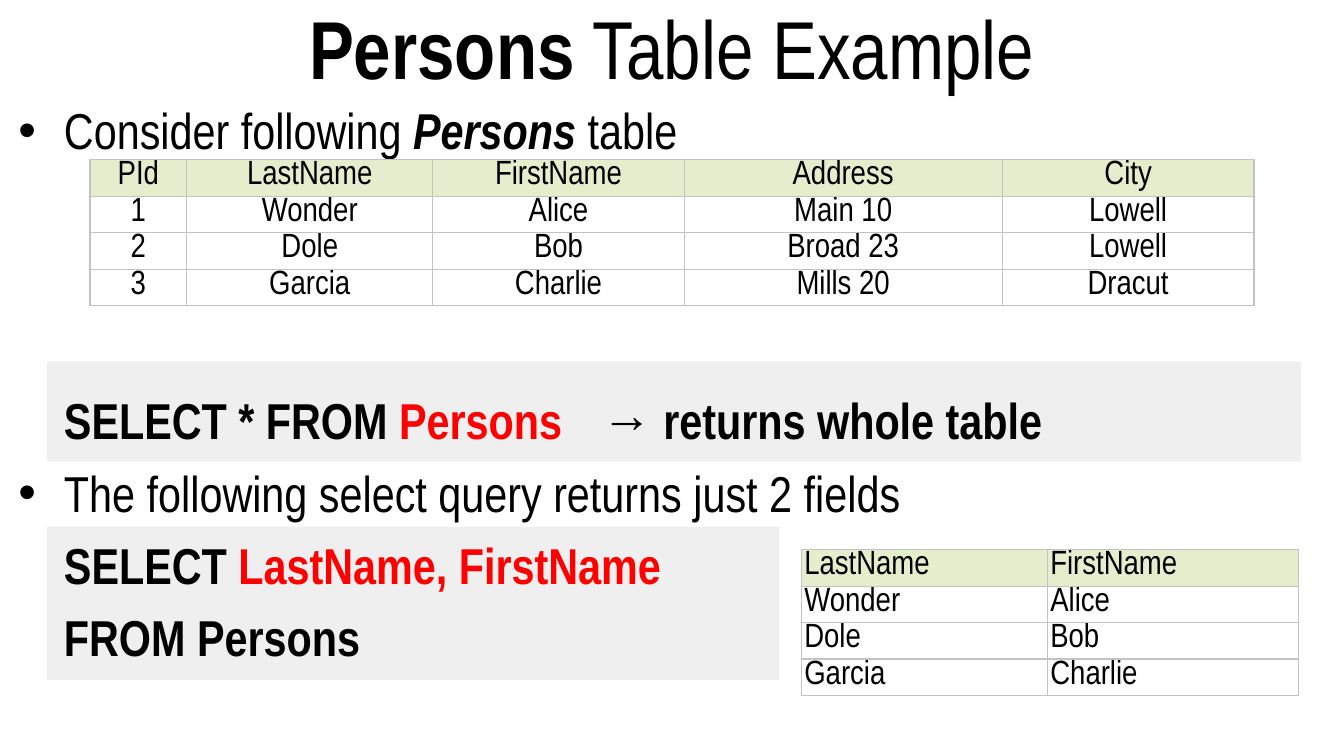
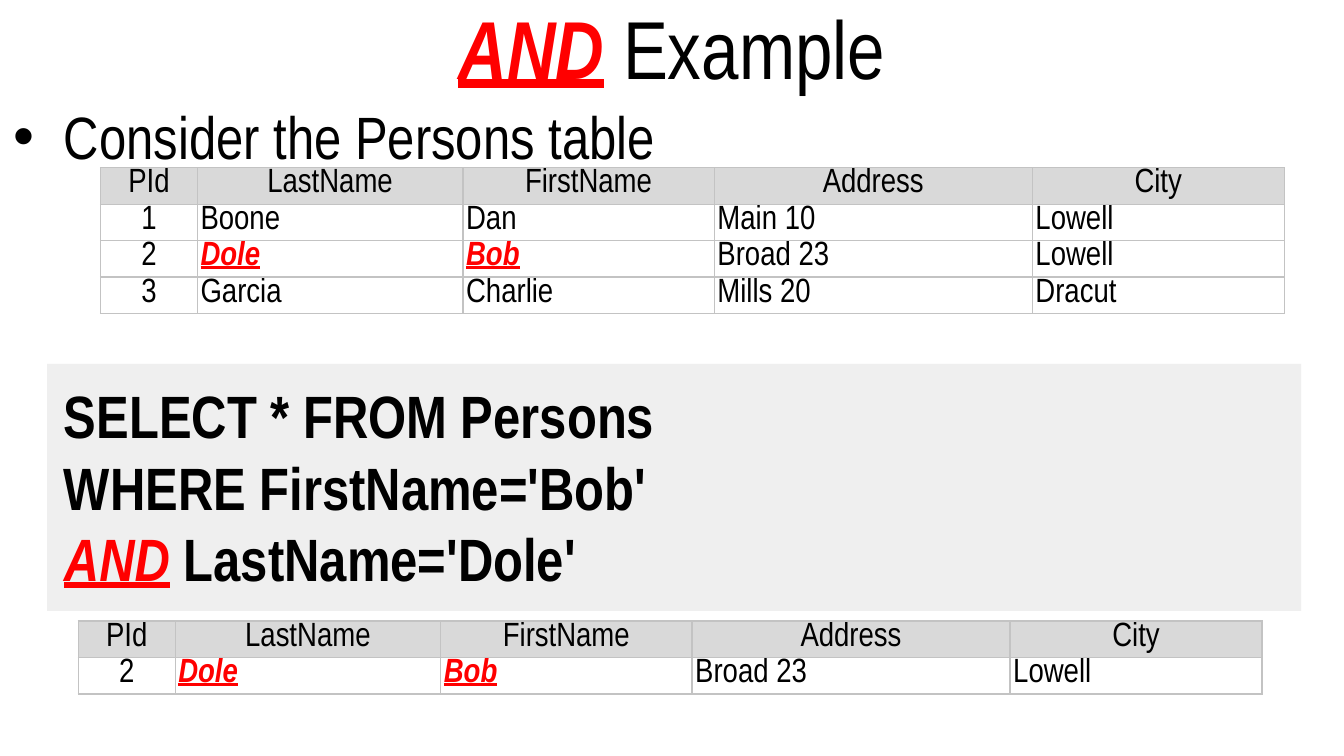
from lxml import etree
from pptx import Presentation
from pptx.dml.color import RGBColor
from pptx.enum.shapes import MSO_SHAPE
from pptx.enum.text import MSO_ANCHOR, MSO_AUTO_SIZE, PP_ALIGN
from pptx.oxml.ns import qn
from pptx.util import Cm, Pt

RECTANGLE = MSO_SHAPE.RECTANGLE
MIDDLE, TOP = MSO_ANCHOR.MIDDLE, MSO_ANCHOR.TOP
CENTER, LEFT = PP_ALIGN.CENTER, PP_ALIGN.LEFT
NO_AUTOFIT = MSO_AUTO_SIZE.NONE

BLACK = RGBColor(0x00, 0x00, 0x00)
RED = RGBColor(0xFF, 0x00, 0x00)
WHITE = RGBColor(0xFF, 0xFF, 0xFF)
CODE_BAND = RGBColor(0xEF, 0xEF, 0xEF)
GREEN_HEADER = RGBColor(0xE5, 0xEE, 0xCC)
GREY_HEADER = RGBColor(0xD9, 0xD9, 0xD9)
BORDER = RGBColor(0xC3, 0xC3, 0xC3)

FONT = "Arial Narrow"
TITLE_SIZE, CELL_SIZE = 44, 18
PARAGRAPH_GAP = 6.4

# Run formats
PLAIN = {"bold": False}
BOLD = {"bold": True}
BOLD_ITALIC = {"bold": True, "italic": True}
BOLD_RED = {"bold": True, "color": RED}
HIGHLIGHT = {"bold": True, "italic": True, "underline": True, "color": RED}

# Boxes: left, top, width, height in cm
SLIDE_WIDTH, SLIDE_HEIGHT, TITLE_HEIGHT = 25.4, 14.29, 1.75
TITLE_BOX = (0, 0, SLIDE_WIDTH, TITLE_HEIGHT)
BODY_BOX = (0, TITLE_HEIGHT, SLIDE_WIDTH, SLIDE_HEIGHT - TITLE_HEIGHT)
BAND_LEFT, BAND_WIDTH = 0.89, 23.7
TEXT_INDENT = 0.96

# Table cells
ROW_HEIGHT, CELL_LINE_SPACING = 0.69, 0.87
CELL_MARGINS = {"margin_left": 0.06, "margin_right": 0.06,
                "margin_top": 0.06, "margin_bottom": 0}

HEADER = ["PId", "LastName", "FirstName", "Address", "City"]


def add_runs(paragraph, runs, size):
    for text, style in runs:
        for number, line in enumerate(text.split("\n")):
            if number:
                paragraph.add_line_break()
            if not line:
                continue
            run = paragraph.add_run()
            run.text = line
            font = run.font
            font.name, font.size = FONT, Pt(size)
            font.color.rgb = style.get("color", BLACK)
            for attribute, value in style.items():
                if attribute != "color":
                    setattr(font, attribute, value)


def format_frame(frame, anchor):
    settings = {
        "word_wrap": True, "auto_size": NO_AUTOFIT, "vertical_anchor": anchor,
        "margin_left": Cm(0.25), "margin_right": Cm(0.25),
        "margin_top": Cm(0.13), "margin_bottom": Cm(0.13),
    }
    for attribute, value in settings.items():
        setattr(frame, attribute, value)


def place_title(slide, box, runs):
    title = slide.shapes.title
    title.left, title.top, title.width, title.height = map(Cm, box)
    format_frame(title.text_frame, MIDDLE)
    paragraph = title.text_frame.paragraphs[0]
    paragraph.alignment = CENTER
    add_runs(paragraph, runs, TITLE_SIZE)


def place_code_band(slide, box):
    band = slide.shapes.add_shape(RECTANGLE, *map(Cm, box))
    band.shadow.inherit = False
    band.fill.solid()
    band.fill.fore_color.rgb = CODE_BAND
    band.line.fill.background()


def set_indent(paragraph, hanging):
    """Indent a paragraph; a hanging length also gives it a bullet."""
    properties = paragraph._p.get_or_add_pPr()
    properties.set("marL", str(Cm(TEXT_INDENT)))
    properties.set("indent", str(-Cm(hanging)))
    if hanging:
        color = etree.SubElement(properties, qn("a:buClr"))
        etree.SubElement(color, qn("a:srgbClr"), val=str(BLACK))
        etree.SubElement(properties, qn("a:buFont"), typeface="Arial")
        etree.SubElement(properties, qn("a:buChar"), char="•")
    else:
        etree.SubElement(properties, qn("a:buNone"))


def place_body(slide, box, size, paragraphs):
    """Each paragraph is (hanging indent, space before, runs)."""
    frame = slide.shapes.add_textbox(*map(Cm, box)).text_frame
    format_frame(frame, TOP)
    for number, (hanging, gap, runs) in enumerate(paragraphs):
        paragraph = frame.add_paragraph() if number else frame.paragraphs[0]
        set_indent(paragraph, hanging)
        if number:
            paragraph.space_before = Pt(gap)
        add_runs(paragraph, runs, size)


def set_borders(cell):
    properties = cell._tc.get_or_add_tcPr()
    for number, side in enumerate(("a:lnL", "a:lnR", "a:lnT", "a:lnB")):
        line = etree.Element(qn(side), w=str(Pt(0.75)))
        fill = etree.SubElement(line, qn("a:solidFill"))
        etree.SubElement(fill, qn("a:srgbClr"), val=str(BORDER))
        properties.insert(number, line)


def place_table(slide, left, top, widths, rows, header_fill, centered, highlights=()):
    """centered(row, column) tells which cells are centred."""
    table = slide.shapes.add_table(
        len(rows), len(widths), Cm(left), Cm(top),
        Cm(sum(widths)), Cm(ROW_HEIGHT * len(rows))).table
    table.first_row = table.horz_banding = False
    for column, width in zip(table.columns, widths):
        column.width = Cm(width)
    for r, values in enumerate(rows):
        table.rows[r].height = Cm(ROW_HEIGHT)
        for c, value in enumerate(values):
            cell = table.cell(r, c)
            for attribute, margin in CELL_MARGINS.items():
                setattr(cell, attribute, Cm(margin))
            cell.fill.solid()
            cell.fill.fore_color.rgb = WHITE if r else header_fill
            set_borders(cell)
            paragraph = cell.text_frame.paragraphs[0]
            paragraph.alignment = CENTER if centered(r, c) else LEFT
            paragraph.line_spacing = CELL_LINE_SPACING
            style = HIGHLIGHT if value in highlights else PLAIN
            add_runs(paragraph, [(value, style)], CELL_SIZE)


def new_slide(deck, title_runs):
    slide = deck.slides.add_slide(deck.slide_layouts[5])
    place_title(slide, TITLE_BOX, title_runs)
    return slide


def build_persons_slide(deck):
    slide = new_slide(deck, [("Persons", BOLD), (" Table Example", PLAIN)])

    # Bands behind the queries
    place_code_band(slide, (BAND_LEFT, 9.96, 13.84, 2.9))
    place_code_band(slide, (BAND_LEFT, 6.83, BAND_WIDTH, 1.9))

    # Bullets and queries
    place_body(slide, BODY_BOX, 27, [
        (0.86, 0, [("Consider following ", PLAIN), ("Persons", BOLD_ITALIC),
                   (" table", PLAIN)]),
        (0, 122.8, [("SELECT * FROM ", BOLD), ("Persons", BOLD_RED),
                    ("\t→ returns whole table", BOLD)]),
        (0.86, PARAGRAPH_GAP,
         [("The following select query returns just 2 fields", PLAIN)]),
        (0, PARAGRAPH_GAP, [("SELECT ", BOLD), ("LastName, FirstName", BOLD_RED)]),
        (0, PARAGRAPH_GAP, [("FROM Persons", BOLD)]),
    ])

    # Whole table, and the two selected fields
    persons = [
        HEADER,
        ["1", "Wonder", "Alice", "Main 10", "Lowell"],
        ["2", "Dole", "Bob", "Broad 23", "Lowell"],
        ["3", "Garcia", "Charlie", "Mills 20", "Dracut"],
    ]
    widths = [1.83, 4.65, 4.75, 6.01, 4.76]
    place_table(slide, 1.7, 3.02, widths, persons, GREEN_HEADER, lambda r, c: True)
    place_table(slide, 15.14, 10.39, widths[1:3], [row[1:3] for row in persons],
                GREEN_HEADER, lambda r, c: False)


def build_and_slide(deck):
    slide = new_slide(deck, [("AND", HIGHLIGHT), (" Example", PLAIN)])
    place_code_band(slide, (BAND_LEFT, 6.88, BAND_WIDTH, 4.67))

    # Bullet and query
    place_body(slide, BODY_BOX, 32, [
        (TEXT_INDENT, 0, [("Consider the Persons table", PLAIN)]),
        (0, 111.2, [("SELECT * FROM Persons\nWHERE FirstName='Bob'\n", BOLD),
                    ("AND", HIGHLIGHT), (" LastName='Dole'", BOLD)]),
    ])

    # Whole table, and the matching row
    persons = [
        HEADER,
        ["1", "Boone", "Dan", "Main 10", "Lowell"],
        ["2", "Dole", "Bob", "Broad 23", "Lowell"],
        ["3", "Garcia", "Charlie", "Mills 20", "Dracut"],
    ]
    widths = [1.83, 5.02, 4.75, 6.01, 4.76]
    for left, top, rows in ((1.9, 3.17, persons),
                            (1.48, 11.74, [HEADER, persons[2]])):
        place_table(slide, left, top, widths, rows, GREY_HEADER,
                    lambda r, c: r == 0 or c == 0, ("Dole", "Bob"))


def main():
    deck = Presentation()
    deck.slide_width, deck.slide_height = Cm(SLIDE_WIDTH), Cm(SLIDE_HEIGHT)
    build_persons_slide(deck)
    build_and_slide(deck)
    deck.save("out.pptx")


if __name__ == "__main__":
    main()
